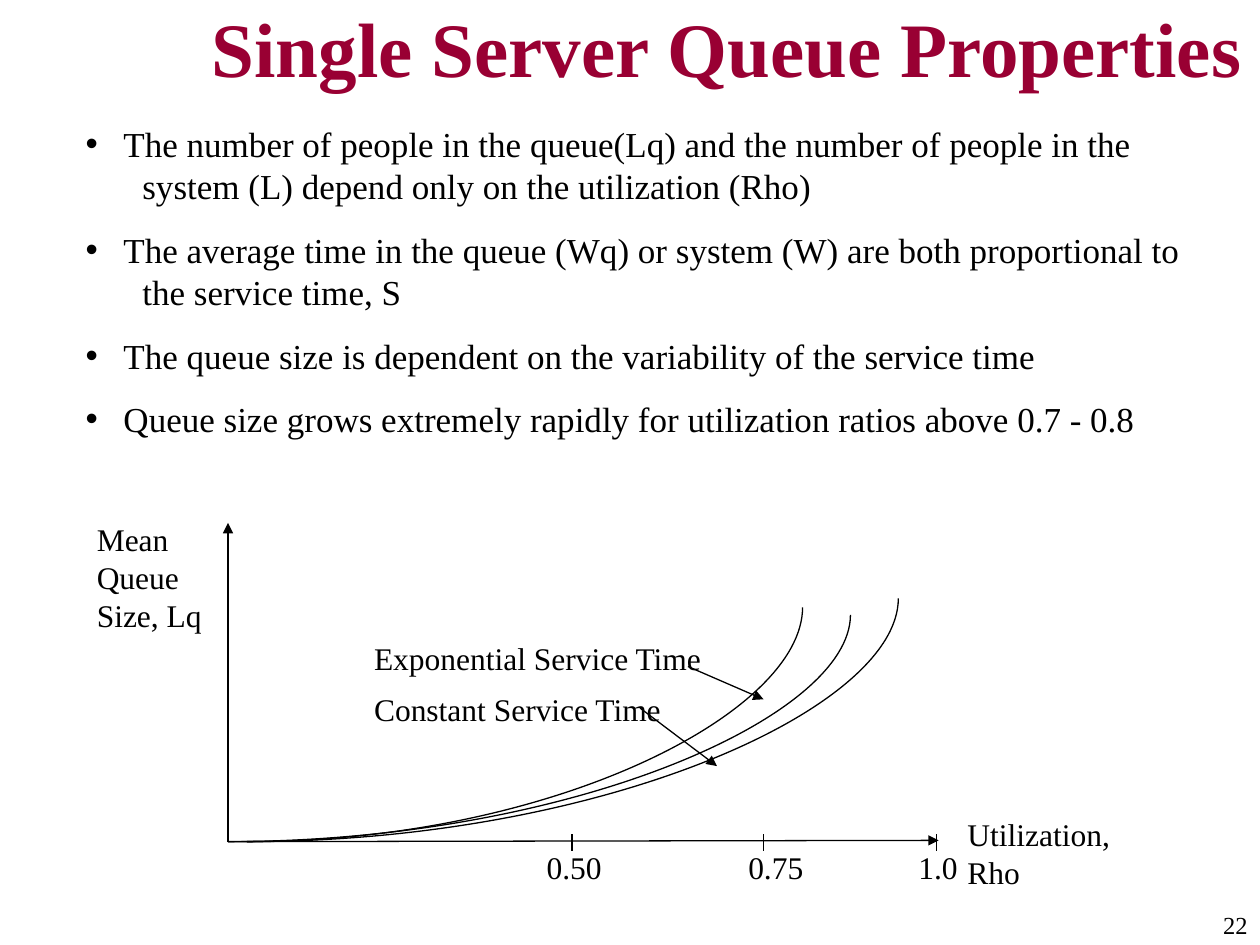
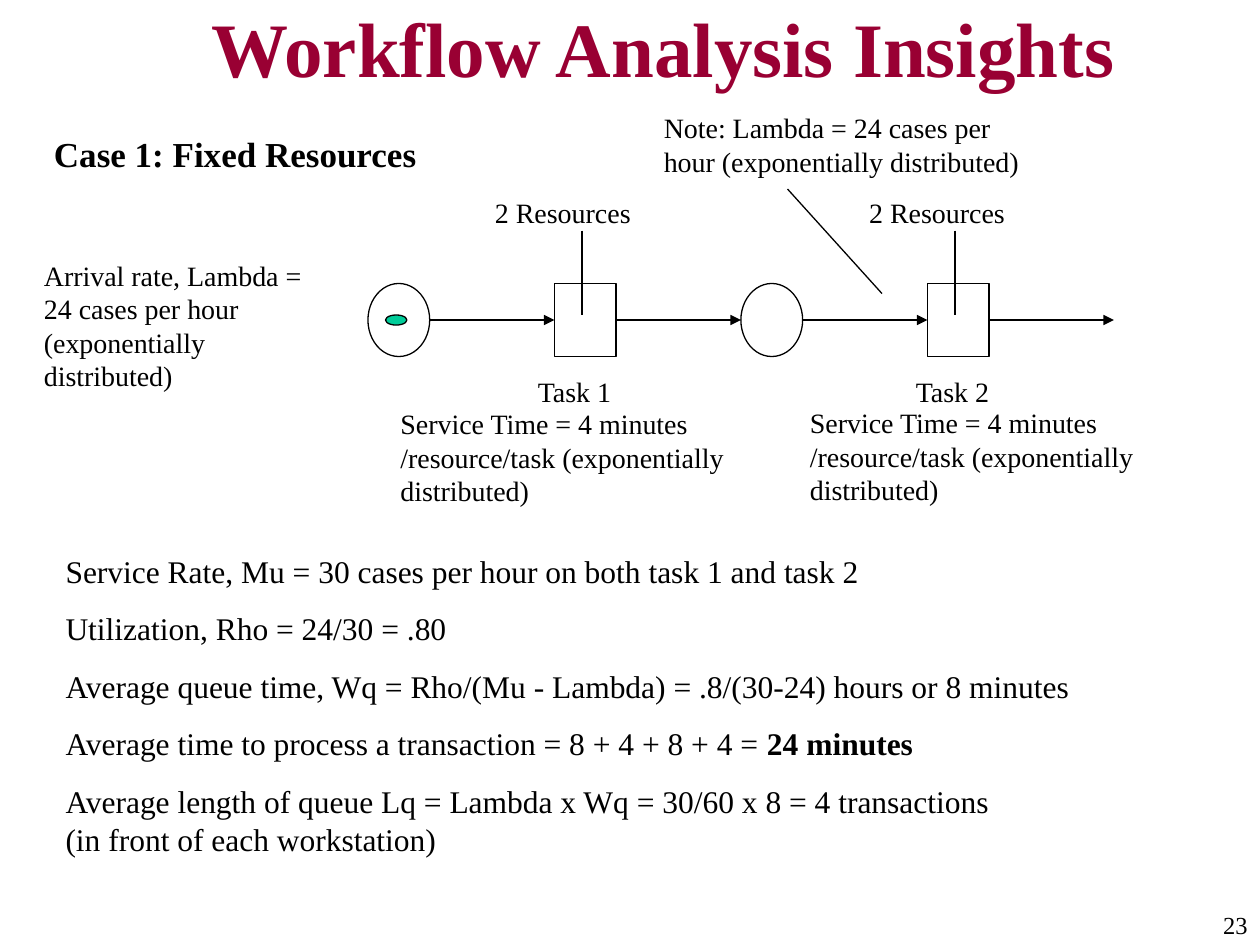
from pptx import Presentation
from pptx.dml.color import RGBColor
from pptx.enum import shapes, text
from pptx.oxml.ns import qn
from pptx.util import Inches, Pt
from lxml import etree

# Shared style
COLORS = {"ink": "000000", "title": "990033", "token": "00CC99"}
FONT = "Times New Roman"
SLIDE_W, SLIDE_H = 10, 7.5
TITLE_BOX = (1.58, 0.08, 8.42, 0.58)
NUMBER_BOX = (8.58, 7.17, 1.42, 0.33)
LINE_PT = 0.75
SPACE_SHARE = 0.625  # paragraph gap as a share of the text size
HANG, DEEPER = 0.3, 0.15  # bullet indent, extra indent of second lines
ARC = 0.55  # handle length of a quarter ellipse

# Content: queue properties
PROPERTIES_BOX = (0.58, 0.92, 9, 2.62)
PROPERTIES = [
    "The number of people in the queue(Lq) and the number of people in the\n"
    "\tsystem (L) depend only on the utilization (Rho)",
    "The average time in the queue (Wq) or system (W) are both proportional to\n"
    "\tthe service time, S",
    "The queue size is dependent on the variability of the service time",
    "Queue size grows extremely rapidly for utilization ratios above 0.7 - 0.8",
]
ORIGIN_X, BASE_Y = 1.81, 6.68
AXIS_ENDS = [(ORIGIN_X, 4.15), (7.45, 6.67)]
AXIS_LABELS = [
    ("Mean\nQueue Size, Lq", (0.67, 4.08, 1.06, 1)),
    ("Utilization,\nRho", (7.58, 6.42, 1.81, 0.7)),
]
TICKS = [  # label, tick x, label x, label width
    ("0.50", 4.54, 4.24, 1.03),
    ("0.75", 6.06, 5.84, 0.89),
    ("1.0", 7.43, 7.19, 1.23),
]
CURVES = [(1.81, 6.75, 4.88), (1.96, 6.37, 4.82), (1.96, 7.13, 4.75)]  # start x, end x, top y
CURVE_LABELS = [  # label, top, arrow from, arrow to
    ("Exponential Service Time", 5.02, (5.46, 5.29), (6.06, 5.55)),
    ("Constant Service Time", 5.43, (5.08, 5.62), (5.69, 6.08)),
]

# Content: workflow
NODES = ["queue", "task", "queue", "task"]
NODE_X, NODE_Y, NODE_STEP, NODE_W, NODE_H = 2.92, 2.25, 1.48, 0.49, 0.58
TOKEN_BOX = (3.06, 2.5, 0.17, 0.08)
SERVICE = "Service Time = 4 minutes /resource/task (exponentially distributed)"
WORKFLOW_LABELS = [
    ("Arrival rate, Lambda = 24 cases per hour (exponentially distributed)", (0.25, 2, 2.42, 1.17)),
    ("Note: Lambda = 24 cases per hour (exponentially distributed)", (5.17, 0.83, 3.17, 0.64)),
    ("Task 1", (4.17, 2.92, 0.92, 0.37)),
    ("Task 2", (7.17, 2.92, 0.92, 0.37)),
    (SERVICE, (3.08, 3.18, 3.33, 0.9)),
    (SERVICE, (6.33, 3.17, 3.33, 0.9)),
    ("2 Resources", (3.83, 1.5, 1.58, 0.37)),
    ("2 Resources", (6.8, 1.5, 1.58, 0.37)),
]
POINTERS = [
    ((4.62, 1.83), (4.62, 2.5)),
    ((7.58, 1.83), (7.58, 2.5)),
    ((6.25, 1.5), (7, 2.33)),
]
CASE_BOX = (0.33, 1, 3.17, 0.44)
FINDINGS_BOX = (0.42, 4.33, 9.08, 2.53)
FINDINGS = [
    "Service Rate, Mu = 30 cases per hour on both task 1 and task 2",
    "Utilization, Rho = 24/30 = .80",
    "Average queue time, Wq = Rho/(Mu - Lambda) = .8/(30-24) hours or 8 minutes",
    ("Average time to process a transaction = 8 + 4 + 8 + 4 = ", "24 minutes"),
    "Average length of queue Lq = Lambda x Wq = 30/60 x 8 = 4 transactions\n"
    "(in front of each workstation)",
]


def rgb(name):
    return RGBColor.from_string(COLORS[name])


def sub(parent, tag, **attrs):
    return etree.SubElement(parent, qn(tag), attrs)


def place(sp, box):
    for side, length in zip(("left", "top", "width", "height"), box):
        setattr(sp, side, Inches(length))


# Text
def add_runs(p, words, size, bold, color):
    for i, line in enumerate(words.split("\n")):
        if i:
            p.add_line_break()
            sub(p._p.findall(qn("a:br"))[-1], "a:rPr", sz=str(size * 100))
        r = p.add_run()
        r.text = line
        for key, value in {"name": FONT, "size": Pt(size), "bold": bold}.items():
            setattr(r.font, key, value)
        r.font.color.rgb = rgb(color)


def set_bullet(p, bullet):
    pPr = p._p.get_or_add_pPr()
    indent = Inches(HANG) if bullet else 0
    pPr.set("marL", str(indent))
    pPr.set("indent", str(-indent))
    if not bullet:
        sub(pPr, "a:buNone")
        return
    sub(sub(pPr, "a:buClr"), "a:srgbClr", val=COLORS["ink"])
    sub(pPr, "a:buChar", char="•")
    tabs = sub(pPr, "a:tabLst")
    for stop in (DEEPER, HANG + DEEPER):
        sub(tabs, "a:tab", pos=str(Inches(stop)), algn="l")


def write(sp, paragraphs, size, bold=False, color="ink", bullet=False,
          align=text.PP_ALIGN.LEFT, anchor=text.MSO_ANCHOR.TOP):
    tf = sp.text_frame
    frame = {"word_wrap": True, "auto_size": text.MSO_AUTO_SIZE.NONE, "vertical_anchor": anchor}
    for key, value in frame.items():
        setattr(tf, key, value)
    for i, parts in enumerate(paragraphs):
        p = tf.add_paragraph() if i else tf.paragraphs[0]
        set_bullet(p, bullet)
        p.alignment = align
        p.space_before = Pt(size * SPACE_SHARE if i else 0)
        plain, *strong = (parts,) if isinstance(parts, str) else parts
        add_runs(p, plain, size, bold, color)
        for words in strong:
            add_runs(p, words, size, True, color)


def add_label(s, words, box, size, **style):
    sp = s.shapes.add_textbox(*map(Inches, box))
    write(sp, [words], size, **style)


# Lines and shapes
def add_line(s, start, end, arrow=False):
    c = s.shapes.add_connector(shapes.MSO_CONNECTOR.STRAIGHT, *map(Inches, (*start, *end)))
    c.line.color.rgb = rgb("ink")
    c.line.width = Pt(LINE_PT)
    if arrow:
        sub(c.line._get_or_add_ln(), "a:tailEnd", type="triangle")
    sub(c._element.spPr, "a:effectLst")
    return c


def outline(sp, fill=None):
    sp.shadow.inherit = False
    if fill:
        sp.fill.solid()
        sp.fill.fore_color.rgb = rgb(fill)
    else:
        sp.fill.background()
    sp.line.color.rgb = rgb("ink")
    sp.line.width = Pt(LINE_PT)


def add_node(s, kind, box, fill=None):
    sp = s.shapes.add_shape(kind, *map(Inches, box))
    outline(sp, fill)
    return sp


def add_curve(s, x0, x1, top):
    fb = s.shapes.build_freeform(Inches(x0), Inches(BASE_Y))
    fb.add_line_segments([(Inches(x1), Inches(top))], close=False)
    sp = fb.convert_to_shape()
    outline(sp)
    # Bend the segment into a quarter ellipse
    w, h = sp.width, sp.height
    segment = next(sp._element.iter(qn("a:lnTo")))
    bend = etree.Element(qn("a:cubicBezTo"))
    for x, y in [(w * ARC, h), (w, h * (1 - ARC)), (w, 0)]:
        sub(bend, "a:pt", x=str(round(x)), y=str(round(y)))
    segment.getparent().replace(segment, bend)


# Slides
def new_slide(prs, title, number, body_box, body, size, bullet=False):
    s = prs.slides.add_slide(prs.slide_layouts[1])
    place(s.shapes.title, TITLE_BOX)
    write(s.shapes.title, [title], 44, bold=True, color="title", anchor=text.MSO_ANCHOR.MIDDLE)
    place(s.placeholders[1], body_box)
    write(s.placeholders[1], body, size, bullet=bullet)
    add_label(s, str(number), NUMBER_BOX, 14, align=text.PP_ALIGN.RIGHT)
    return s


def queue_properties(prs):
    s = new_slide(prs, "Single Server Queue Properties", 22,
                  PROPERTIES_BOX, PROPERTIES, 20, bullet=True)
    # Axes and ticks
    for end in AXIS_ENDS:
        add_line(s, (ORIGIN_X, BASE_Y), end, arrow=True)
    for words, box in AXIS_LABELS:
        add_label(s, words, box, 18)
    for words, x, label_x, width in TICKS:
        add_line(s, (x, 6.62), (x, 6.75))
        add_label(s, words, (label_x, BASE_Y, width, 0.4), 18)
    # Curves and their labels
    for curve in CURVES:
        add_curve(s, *curve)
    for words, top, start, end in CURVE_LABELS:
        add_label(s, words, (2.87, top, 2.89, 0.4), 18)
        add_line(s, start, end, arrow=True)


def workflow_insights(prs):
    s = new_slide(prs, "Workflow Analysis Insights", 23, FINDINGS_BOX, FINDINGS, 18)
    add_label(s, "Case 1: Fixed Resources", CASE_BOX, 20, bold=True)
    # Queues and tasks
    kinds = {"queue": shapes.MSO_SHAPE.OVAL, "task": shapes.MSO_SHAPE.RECTANGLE}
    lefts = [NODE_X + i * NODE_STEP for i in range(len(NODES))]
    nodes = [add_node(s, kinds[kind], (x, NODE_Y, NODE_W, NODE_H))
             for kind, x in zip(NODES, lefts)]
    add_node(s, kinds["queue"], TOKEN_BOX, fill="token")
    # Flow arrows, one out of each node
    mid = NODE_Y + NODE_H / 2
    for i, x in enumerate(lefts):
        c = add_line(s, (x + NODE_W, mid), (x + NODE_STEP, mid), arrow=True)
        if NODES[i] == "task":
            c.begin_connect(nodes[i], 3)
        elif NODES[i + 1] == "task":
            c.end_connect(nodes[i + 1], 1)
    # Labels and pointers
    for words, box in WORKFLOW_LABELS:
        add_label(s, words, box, 16)
    for start, end in POINTERS:
        add_line(s, start, end)


def main():
    prs = Presentation()
    prs.slide_width, prs.slide_height = Inches(SLIDE_W), Inches(SLIDE_H)
    queue_properties(prs)
    workflow_insights(prs)
    prs.save("out.pptx")


if __name__ == "__main__":
    main()
